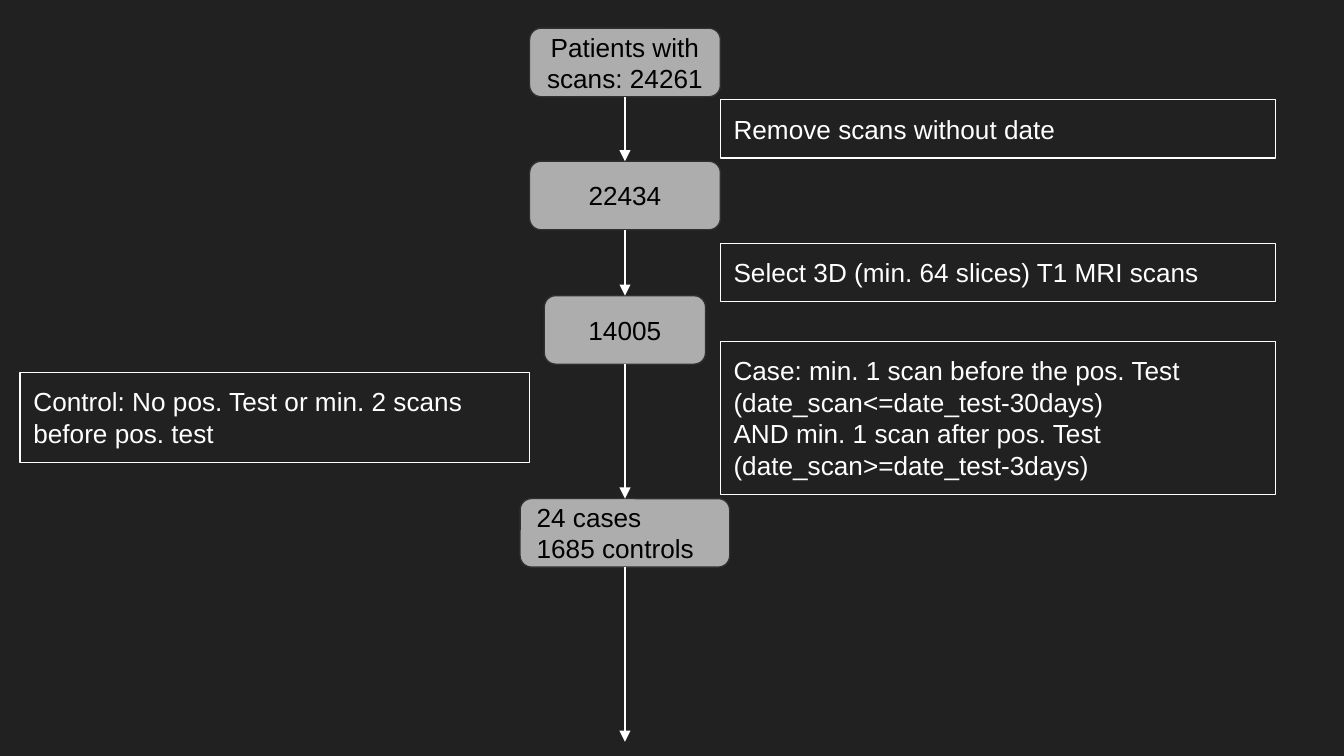
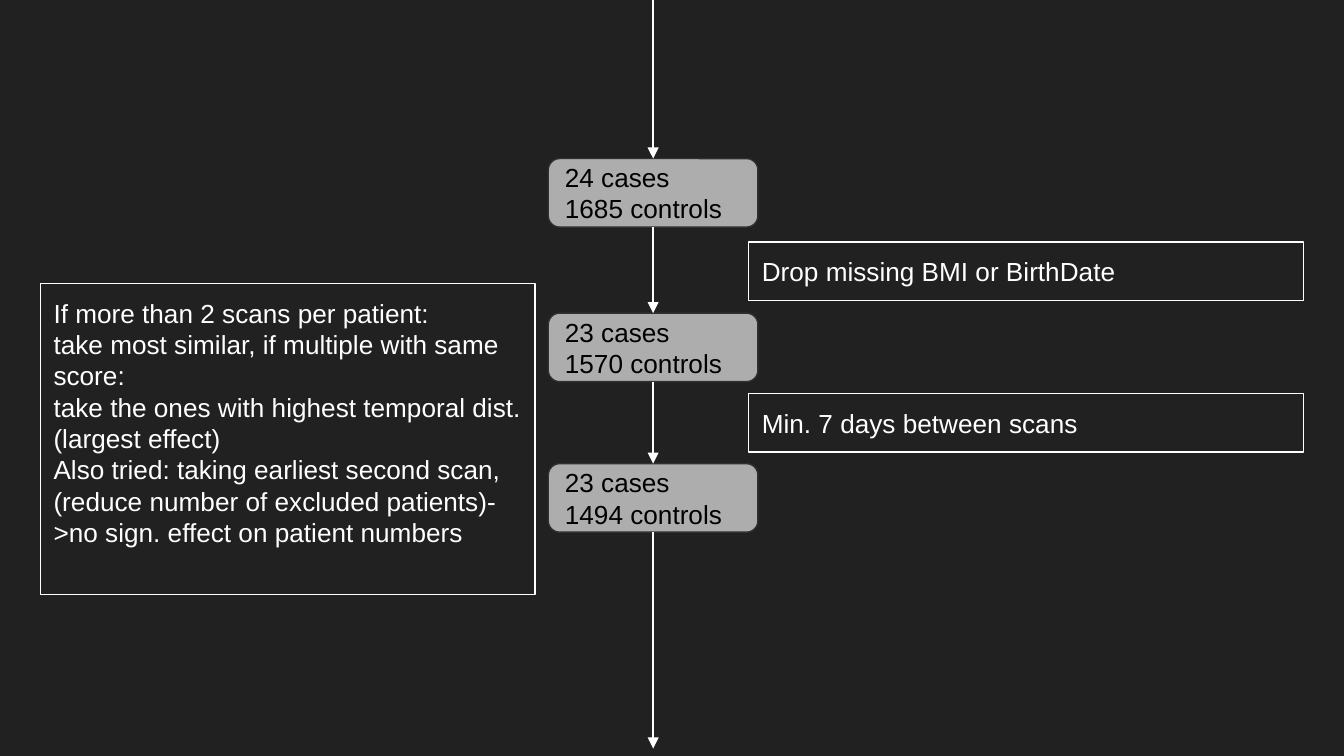
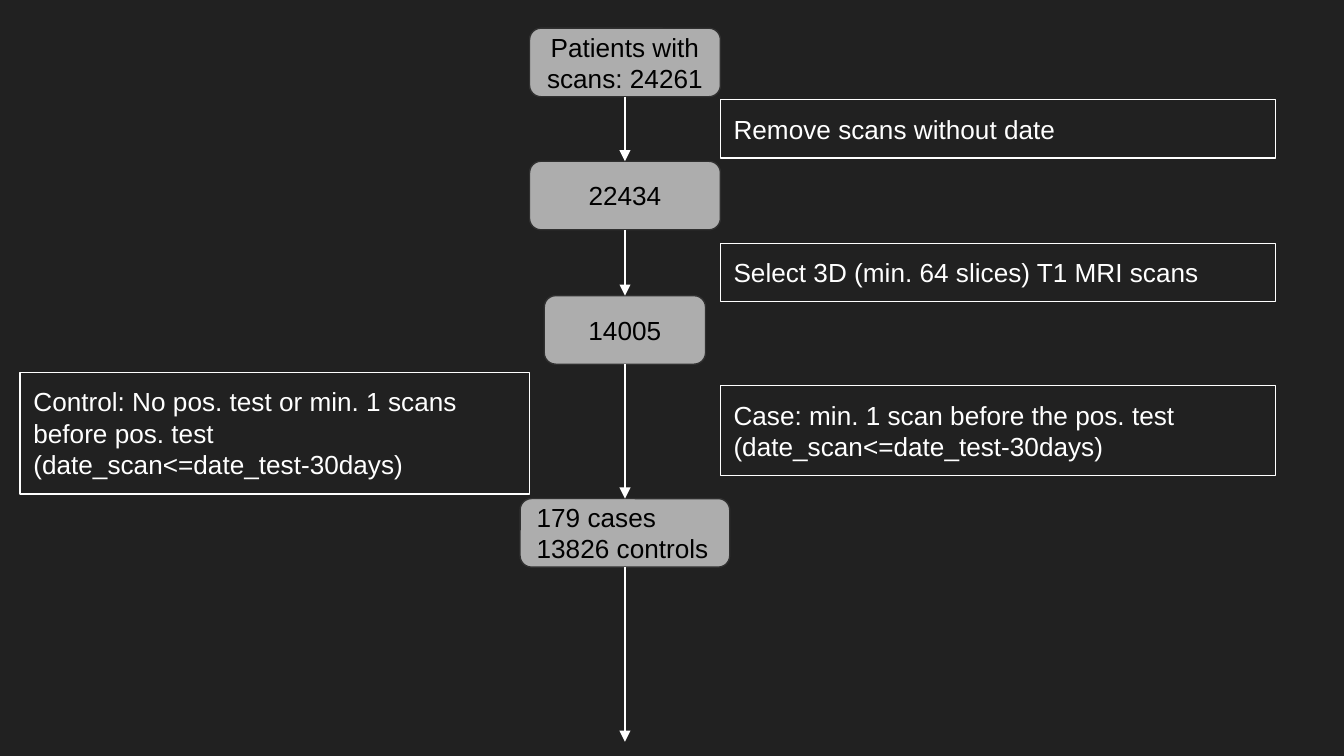
from dataclasses import dataclass

from lxml.etree import SubElement
from pptx import Presentation
from pptx.dml.color import RGBColor
from pptx.enum.shapes import MSO_CONNECTOR, MSO_SHAPE
from pptx.enum.text import MSO_ANCHOR, PP_ALIGN
from pptx.oxml.ns import qn
from pptx.util import Inches, Pt


@dataclass(frozen=True)
class Theme:
    background: RGBColor = RGBColor(0x21, 0x21, 0x21)
    step_fill: RGBColor = RGBColor(0xAD, 0xAD, 0xAD)
    step_line: RGBColor = RGBColor(0x30, 0x30, 0x30)
    step_text: RGBColor = RGBColor(0x00, 0x00, 0x00)
    light: RGBColor = RGBColor(0xFF, 0xFF, 0xFF)
    font: str = "Arial"
    size: Pt = Pt(14)
    line_pitch: Pt = Pt(16.8)
    stroke: Pt = Pt(0.75)


theme = Theme()

# Grid, in inches: steps stand on an axis, criteria to the right of it
STEP_HEIGHT = 0.51
PADDING = 0.1
ROW = 0.235
CRITERION_GAP, CRITERION_WIDTH = 0.71, 4.13
COUNT_WIDTH, GROUPS_WIDTH = 1.42, 1.56


def add_box(slide, preset, area, paragraphs, fill, line, color, centered=False):
    box = slide.shapes.add_shape(preset, *map(Inches, area))
    box.shadow.inherit = False
    if fill is None:
        box.fill.background()
    else:
        box.fill.solid()
        box.fill.fore_color.rgb = fill
    box.line.color.rgb = line
    box.line.width = theme.stroke
    frame = box.text_frame
    frame.word_wrap = True
    frame.vertical_anchor = MSO_ANCHOR.TOP if fill is None else MSO_ANCHOR.MIDDLE
    frame.margin_left = frame.margin_right = Inches(PADDING)
    frame.margin_top = frame.margin_bottom = Inches(PADDING)
    frame.text = "\n".join(paragraphs)
    for paragraph in frame.paragraphs:
        paragraph.alignment = PP_ALIGN.CENTER if centered else PP_ALIGN.LEFT
        paragraph.line_spacing = theme.line_pitch
        paragraph.font.name = theme.font
        paragraph.font.size = theme.size
        paragraph.font.color.rgb = color


def add_arrow(slide, x, top, bottom):
    arrow = slide.shapes.add_connector(
        MSO_CONNECTOR.STRAIGHT, Inches(x), Inches(top), Inches(x), Inches(bottom))
    arrow.line.color.rgb = theme.light
    arrow.line.width = theme.stroke
    SubElement(arrow.line._get_or_add_ln(), qn("a:tailEnd"), type="triangle")
    SubElement(arrow._element.spPr, qn("a:effectLst"))


# Content shared by the two selections that start from all patients
# steps: top, width, paragraphs; criteria: top, rows, paragraphs
first_steps = [
    (0.21, COUNT_WIDTH, ["Patients with scans: 24261"]),
    (1.2, COUNT_WIDTH, ["22434"]),
    (2.2, 1.2, ["14005"]),
]
first_criteria = [
    (0.74, 1, ["Remove scans without date"]),
    (1.81, 1, ["Select 3D (min. 64 slices) T1 MRI scans"]),
]

# One flow per slide; side_note: left, top, width, rows, paragraphs
flows = [
    dict(
        axis=4.65, start=None, end=5.52,
        steps=first_steps + [(3.71, GROUPS_WIDTH, ["24 cases", "1685 controls"])],
        criteria=first_criteria + [(2.54, 4, [
            "Case: min. 1 scan before the pos. Test (date_scan<=date_test-30days)",
            "AND min. 1 scan after pos. Test (date_scan>=date_test-3days)"])],
        side_note=(0.15, 2.77, 3.79, 2, [
            "Control: No pos. Test or min. 2 scans before pos. test"]),
    ),
    dict(
        axis=4.86, start=-0.1, end=5.57,
        steps=[
            (1.18, GROUPS_WIDTH, ["24 cases", "1685 controls"]),
            (2.33, GROUPS_WIDTH, ["23 cases", "1570 controls"]),
            (3.45, GROUPS_WIDTH, ["23 cases", "1494 controls"]),
        ],
        criteria=[
            (1.8, 1, ["Drop missing BMI or BirthDate"]),
            (2.93, 1, ["Min. 7 days between scans"]),
        ],
        side_note=(0.3, 2.11, 3.68, 9, [
            "If more than 2 scans per patient:",
            "take most similar, if multiple with same score:",
            "take the ones with highest temporal dist. (largest effect)",
            "Also tried: taking earliest second scan,(reduce number of excluded "
            "patients)->no sign. effect on patient numbers"]),
    ),
    dict(
        axis=4.65, start=None, end=5.52,
        steps=first_steps + [(3.71, GROUPS_WIDTH, ["179 cases", "13826 controls"])],
        criteria=first_criteria + [(2.87, 2, [
            "Case: min. 1 scan before the pos. test (date_scan<=date_test-30days)"])],
        side_note=(0.15, 2.77, 3.79, 3, [
            "Control: No pos. test or min. 1 scans before pos. test "
            "(date_scan<=date_test-30days)"]),
    ),
]

# Presentation and shared background
prs = Presentation()
prs.slide_width, prs.slide_height = Inches(10), Inches(5.625)
backdrop = prs.slide_master.background.fill
backdrop.solid()
backdrop.fore_color.rgb = theme.background
blank_layout = prs.slide_layouts[6]

for flow in flows:
    slide = prs.slides.add_slide(blank_layout)
    axis = flow["axis"]

    # Steps with the patient counts
    for top, width, counts in flow["steps"]:
        add_box(slide, MSO_SHAPE.ROUNDED_RECTANGLE,
                (axis - width / 2, top, width, STEP_HEIGHT), counts,
                theme.step_fill, theme.step_line, theme.step_text,
                centered=len(counts) == 1)

    # Selection criteria and the note on the left
    notes = [(axis + CRITERION_GAP, top, CRITERION_WIDTH, rows, text)
             for top, rows, text in flow["criteria"]]
    for left, top, width, rows, text in notes + [flow["side_note"]]:
        add_box(slide, MSO_SHAPE.RECTANGLE,
                (left, top, width, 2 * PADDING + rows * ROW), text,
                None, theme.light, theme.light)

    # Arrows into, between and out of the steps
    tops = [step[0] for step in flow["steps"]]
    starts = [top + STEP_HEIGHT for top in tops]
    ends = tops[1:] + [flow["end"]]
    if flow["start"] is not None:
        add_arrow(slide, axis, flow["start"], tops[0])
    for start, end in zip(starts, ends):
        add_arrow(slide, axis, start, end)

prs.save("out.pptx")
